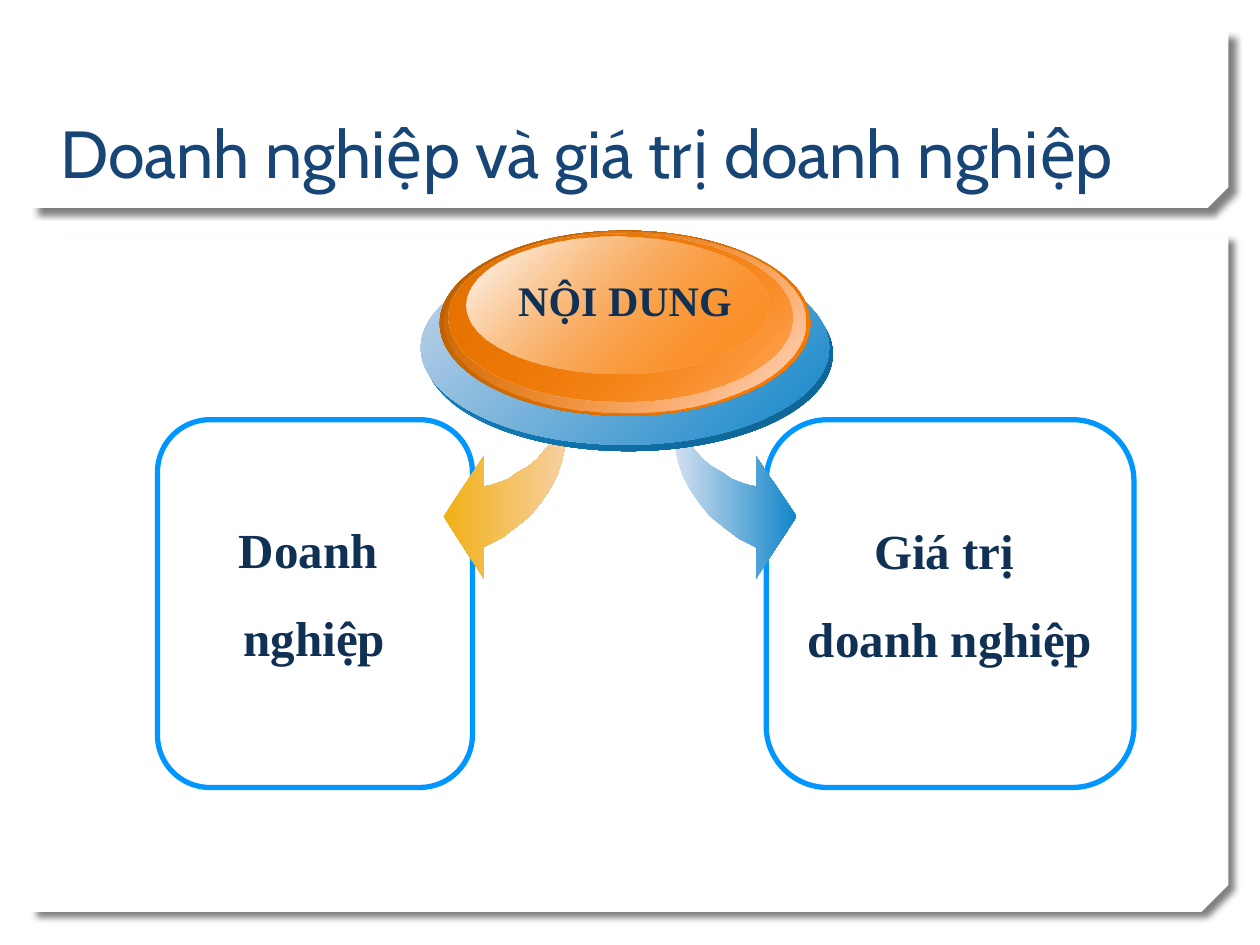
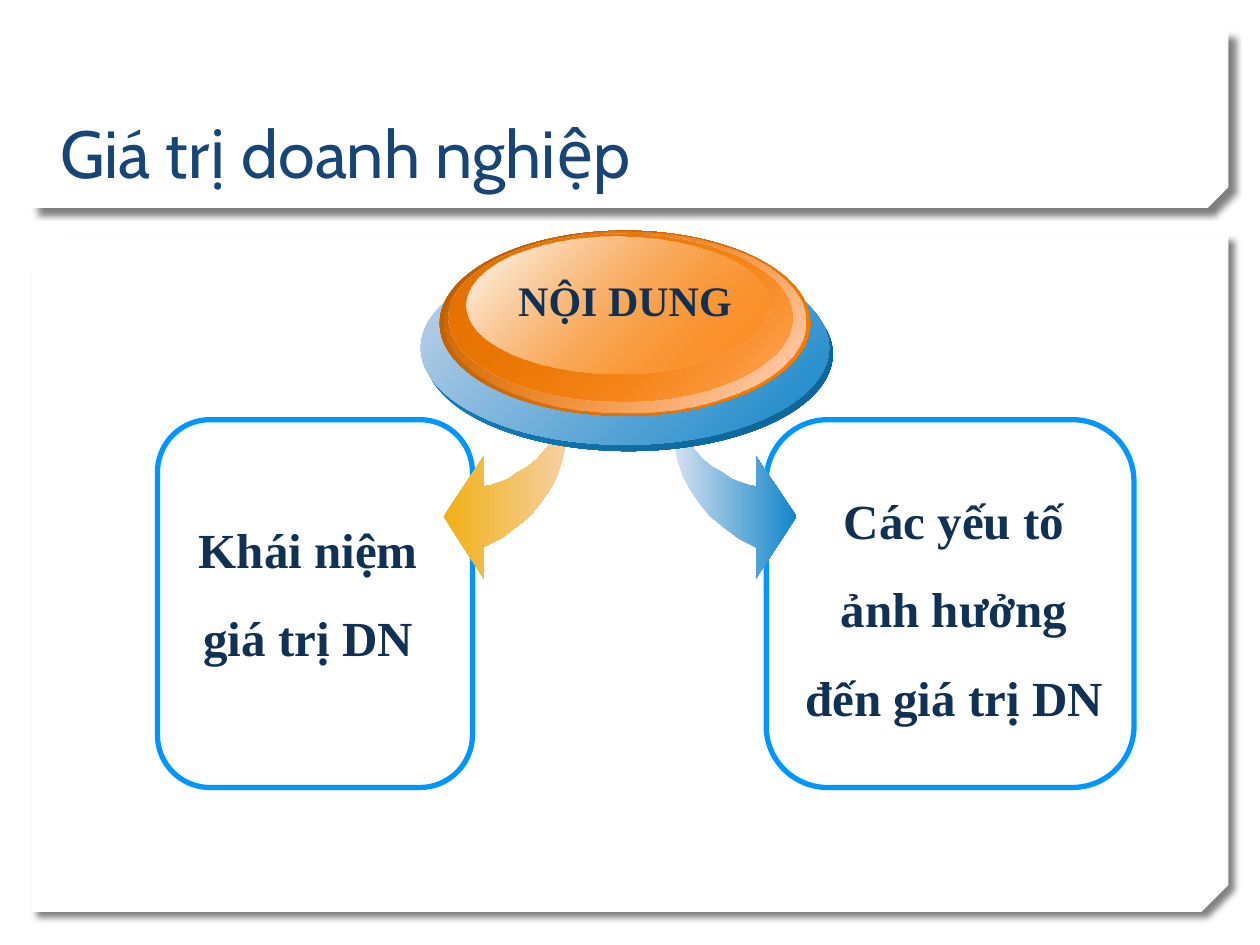
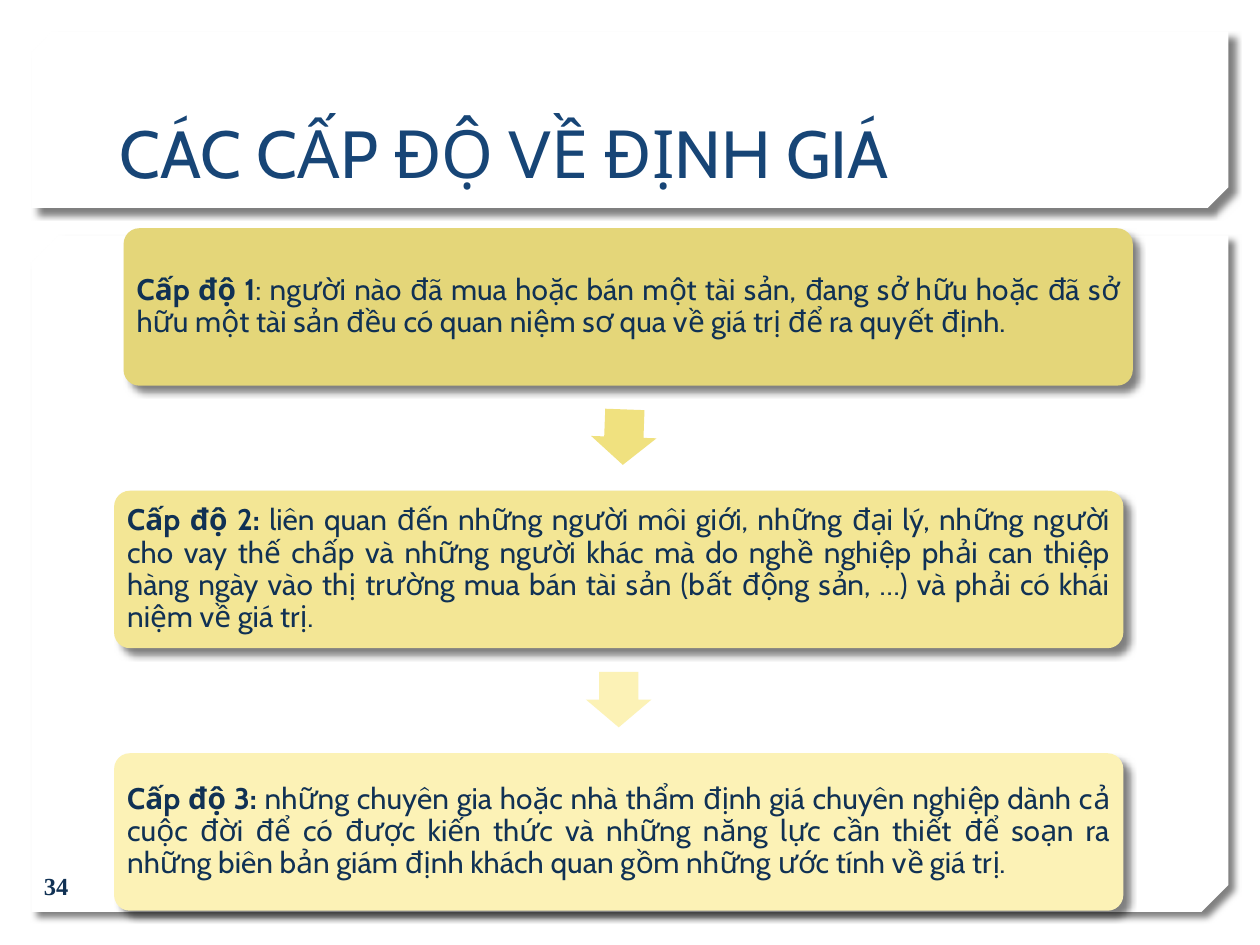
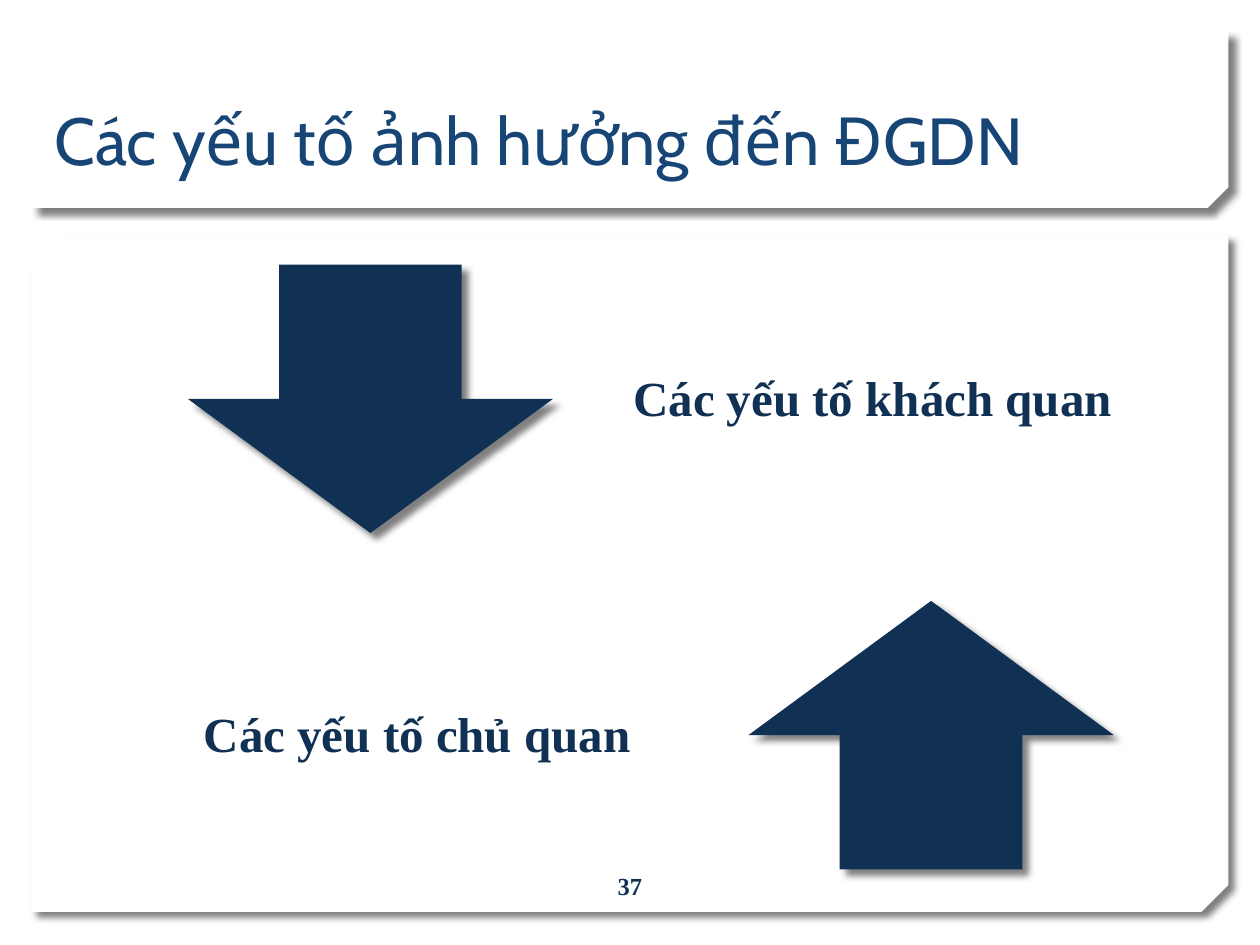
from pptx import Presentation
from pptx import util as u
from pptx.dml.color import RGBColor
from pptx.enum import shapes, text
from pptx.oxml.ns import qn
from lxml import etree

rgb = RGBColor.from_string
KIND = shapes.MSO_SHAPE
ALIGN = text.PP_ALIGN
ANCHOR = text.MSO_ANCHOR

# Shared colours and text formats
NAVY, BLUE, WHITE, EDGE = "103154", "174576", "FFFFFF", "0096FF"
HEAD = {"size": u.Pt(38), "name": "Cabin", "bold": False}
BODY = {"size": u.Pt(17), "name": "Cabin", "bold": False}
LABEL = {"size": u.Pt(28), "name": "Times New Roman", "bold": True}
HUB = {**LABEL, "size": u.Pt(24)}
PAGE = {**LABEL, "size": u.Pt(14)}


def paint(shp, fill=None, line=None, cast=False, angle=0):
    """Fill with a colour or with two (colour, opacity) stops."""
    shp.shadow.inherit = False
    if fill is None:
        shp.fill.background()
    elif isinstance(fill, str):
        shp.fill.solid()
        shp.fill.fore_color.rgb = rgb(fill)
    else:
        shp.fill.gradient()
        shp.fill.gradient_angle = -angle % 360
        for stop, (tone, _) in zip(shp.fill.gradient_stops, fill):
            stop.color.rgb = rgb(tone)
        marks = shp._element.spPr.iter(qn("a:srgbClr"))
        for mark, (_, solid) in zip(marks, fill):
            if solid < 100:
                etree.SubElement(mark, qn("a:alpha"), val=str(solid * 1000))
    if line:
        shp.line.color.rgb = rgb(line)
        shp.line.width = u.Pt(3)
    else:
        shp.line.fill.background()
    if cast:
        effect = shp._element.spPr.find(qn("a:effectLst"))
        shade = etree.SubElement(
            effect, qn("a:outerShdw"), blurRad=str(u.Pt(4)), dist=str(u.Pt(5)),
            dir=str(45 * 60000), algn="tl", rotWithShape="0")
        tone = etree.SubElement(shade, qn("a:srgbClr"), val="000000")
        etree.SubElement(tone, qn("a:alpha"), val="50000")
    return shp


def write(sld, box, lines, font, tone=NAVY, align=ALIGN.LEFT, gap=None,
          anchor=ANCHOR.TOP, pad=(7.2, 3.6, 7.2, 3.6), lead=""):
    """Add a text box; lead is a bold start of the first line."""
    frame = sld.shapes.add_textbox(*map(u.Pt, box)).text_frame
    frame.word_wrap = True
    frame.vertical_anchor = anchor
    for side, size in zip(("left", "top", "right", "bottom"), pad):
        setattr(frame, "margin_" + side, u.Pt(size))
    for i, line in enumerate(lines):
        para = frame.add_paragraph() if i else frame.paragraphs[0]
        para.alignment = align
        if gap:
            para.line_spacing = gap
        parts = [(line, font)]
        if lead and i == 0:
            parts.insert(0, (lead, {**font, "bold": True}))
        for words, form in parts:
            run = para.add_run()
            run.text = words
            run.font.color.rgb = rgb(tone)
            for key, val in form.items():
                setattr(run.font, key, val)


prs = Presentation()
prs.slide_width, prs.slide_height = u.Pt(720), u.Pt(540)

# Panels and titles on every slide
titles = [
    ("Doanh nghiệp và giá trị doanh nghiệp", (27.4, 23, 665.3, 90)),
    ("Giá trị doanh nghiệp", (27.4, 23, 665.3, 90)),
    ("CÁC CẤP ĐỘ VỀ ĐỊNH GIÁ", (61.2, 23, 597, 90)),
    ("Các yếu tố ảnh hưởng đến ĐGDN", (23.8, 15.8, 597, 90)),
]
panels = [((18, 134.6, 684, 386.6), 0.04), ((18, 18, 684, 100.8), 0.117)]
decks = []
for title, box in titles:
    sld = prs.slides.add_slide(prs.slide_layouts[6])
    for area, snip in panels:
        shp = sld.shapes.add_shape(KIND.SNIP_2_DIAG_RECTANGLE, *map(u.Pt, area))
        shp.adjustments[0], shp.adjustments[1] = 0, snip
        shp._element.spPr.find(qn("a:xfrm")).set("flipV", "1")
        paint(shp, WHITE, cast=True)
    write(sld, box, [title], HEAD, BLUE, anchor=ANCHOR.BOTTOM)
    decks.append(sld)

# Slides 1 and 2: a hub with two branches
curve = [
    (0, 0), (0.7, 10.8), (1.5, 21), (3.6, 31), (6.5, 39.6), (10.8, 47.5),
    (15.8, 54.7), (21.6, 62), (29.5, 68.4), (38.2, 75), (48.2, 80),
    (48.2, 98), (71.3, 62.6), (48.2, 28), (48.2, 45.4), (44, 44.6), (39, 43),
    (34, 41), (29, 37.4), (23, 34), (18, 30), (13.7, 25), (9.4, 20),
    (5.8, 15), (2.9, 10), (0.7, 5),
]
arrows = [
    (324.7, -1, [("F1B015", 100), ("F6D1A5", 100)]),
    (383.8, 1, [("D8E2F0", 100), ("1286C9", 100)]),
]
discs = [
    ((242.6, 146.9, 233.3, 110.9), [("1286C9", 100), ("0D6293", 100)]),
    ((240.5, 143.3, 233.3, 110.9), [("C6D5E9", 100), ("1286C9", 100)]),
    ((251.3, 131.8, 211.7, 105.8), [("B65B01", 100), ("FF7F01", 100)]),
    ((254.2, 132.5, 205.9, 103), [("FF7F01", 0), ("FFDDD4", 100)]),
    ((256.3, 133.2, 196.6, 96.5), [("E67301", 100), ("FF7F01", 48)]),
    ((266.4, 135.4, 172.8, 77.8), [("FFFFFF", 100), ("FF7F01", 38)]),
]
topics = [
    (((95.8, 276.5, 160.6, 157), ["Doanh", " nghiệp"]),
     ((450, 277.2, 185.8, 106.6), ["Giá trị ", "doanh nghiệp"])),
    (((95.8, 276.5, 160.6, 106.6), ["Khái niệm giá trị DN"]),
     ((452.2, 260, 185.8, 157), ["Các yếu tố ảnh hưởng đến giá trị DN"])),
]
for sld, (left, right) in zip(decks, topics):
    for x, wide in [(437.8, 210.2), (90, 180)]:
        box = (x, 239.8, wide, 210.2)
        shp = sld.shapes.add_shape(KIND.ROUNDED_RECTANGLE, *map(u.Pt, box))
        shp.adjustments[0] = 0.167
        paint(shp, line=EDGE)
    write(sld, *left, LABEL, align=ALIGN.CENTER, gap=1.5)
    for x, sign, fill in arrows:
        dots = [(u.Pt(x + sign * dx), u.Pt(232.6 + dy)) for dx, dy in curve]
        pen = sld.shapes.build_freeform(*dots[0])
        pen.add_line_segments(dots[1:])
        paint(pen.convert_to_shape(), fill)
    for box, fill in discs:
        shp = sld.shapes.add_shape(KIND.OVAL, *map(u.Pt, box))
        paint(shp, fill, angle=45)
    write(sld, (282.2, 153.4, 149.8, 36), ["NỘI DUNG"], HUB, align=ALIGN.CENTER)
    write(sld, *right, LABEL, align=ALIGN.CENTER, gap=1.5)

# Slide 3: three levels, one below the other
sld = decks[2]
write(sld, (18, 491.8, 167.8, 28.8), ["34"], PAGE, anchor=ANCHOR.MIDDLE)
levels = [
    (70.6, "E4D679", "Cấp độ 1",
     ": người nào đã mua hoặc bán một tài sản, đang sở hữu hoặc đã sở hữu "
     "một tài sản đều có quan niệm sơ qua về giá trị để ra quyết định."),
    (65.2, "F3E695", "Cấp độ 2: ",
     "liên quan đến những người môi giới, những đại lý, những người cho vay "
     "thế chấp và những người khác mà do nghề nghiệp phải can thiệp hàng ngày "
     "vào thị trường mua bán tài sản (bất động sản, …) và phải có khái niệm "
     "về giá trị."),
    (65.2, "FCF2B6", "Cấp độ 3: ",
     "những chuyên gia hoặc nhà thẩm định giá chuyên nghiệp dành cả cuộc đời "
     "để có được kiến thức và những năng lực cần thiết để soạn ra những biên "
     "bản giám định khách quan gồm những ước tính về giá trị."),
]
steps = [(340.6, 92.1, "F0E17F"), (337.7, 90, "FCF2B6")]
for i, (x, fill, lead, words) in enumerate(levels):
    y = 130.4 + 150 * i
    box = (x, y, 576.7, 90)
    shp = sld.shapes.add_shape(KIND.ROUNDED_RECTANGLE, *map(u.Pt, box))
    shp.adjustments[0] = 0.1
    paint(shp, fill, cast=True)
    write(sld, (x + 2.5, y + 2.5, 571.7, 85), [words], BODY, lead=lead,
          align=ALIGN.JUSTIFY, gap=0.9, anchor=ANCHOR.MIDDLE, pad=[5] * 4)
    if i < len(steps):
        x, turn, fill = steps[i]
        box = (x, y + 100.7, 31.7, 37.4)
        shp = sld.shapes.add_shape(KIND.RIGHT_ARROW, *map(u.Pt, box))
        shp.adjustments[0], shp.adjustments[1] = 0.6, 0.5
        shp.rotation = turn
        paint(shp, fill)

# Slide 4: two opposing arrows with labels
sld = decks[3]
write(sld, (339.1, 491.8, 41.8, 28.8), ["37"], PAGE,
      align=ALIGN.CENTER, anchor=ANCHOR.MIDDLE)
forces = [
    (KIND.DOWN_ARROW, (107.3, 151.2), (336.2, 144, 324.7, 149),
     "Các yếu tố khách quan", [15.8] * 4),
    (KIND.UP_ARROW, (427.7, 343.4), (74.2, 316.8, 328.3, 161.3),
     "Các yếu tố chủ quan", (13, 39.5, 13, 13)),
]
for kind, spot, box, words, pad in forces:
    shp = sld.shapes.add_shape(kind, *map(u.Pt, (*spot, 208.8, 153.4)))
    paint(shp, NAVY, cast=True)
    write(sld, box, [words], LABEL, align=ALIGN.CENTER, gap=1.5,
          anchor=ANCHOR.MIDDLE, pad=pad)

prs.save("out.pptx")
